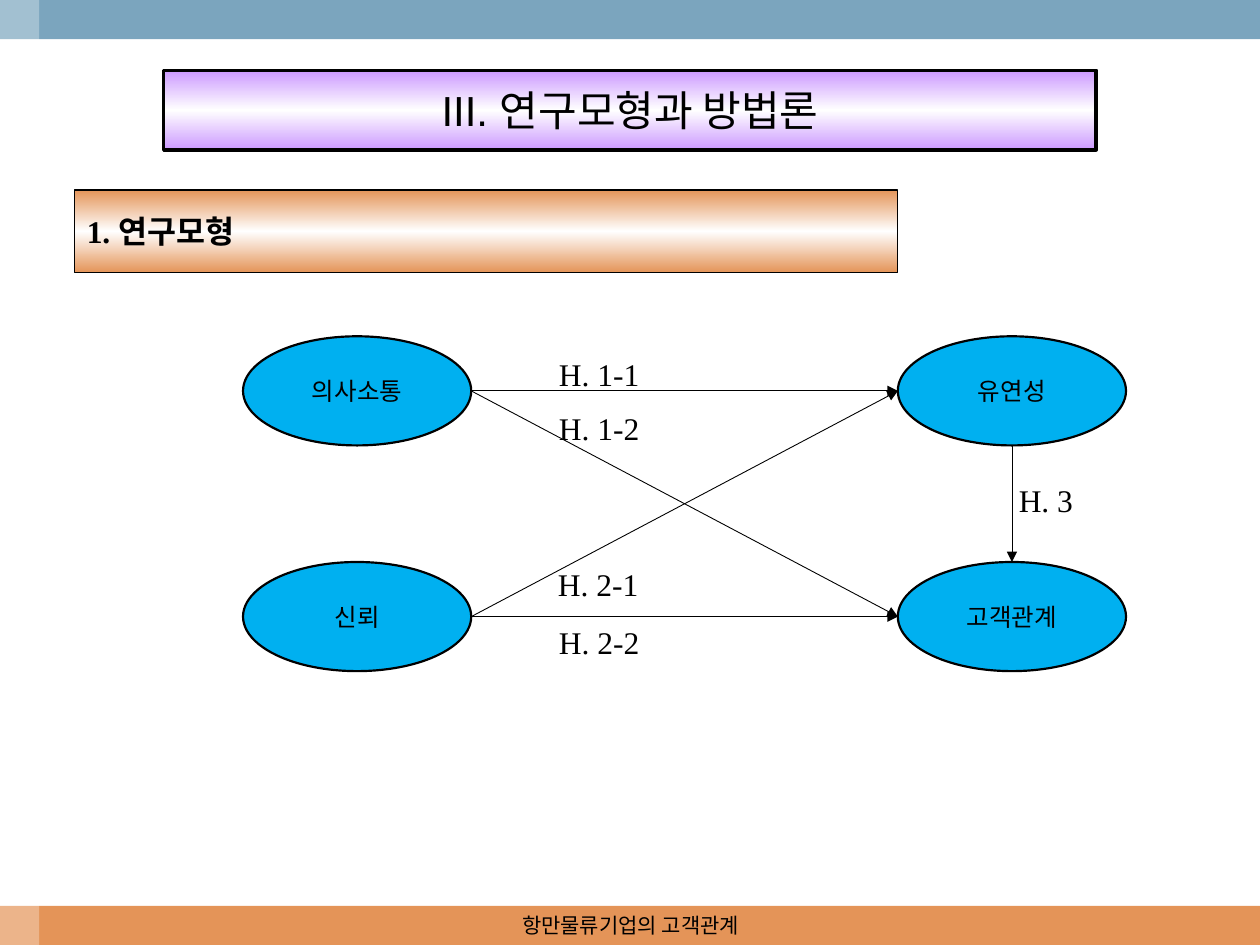
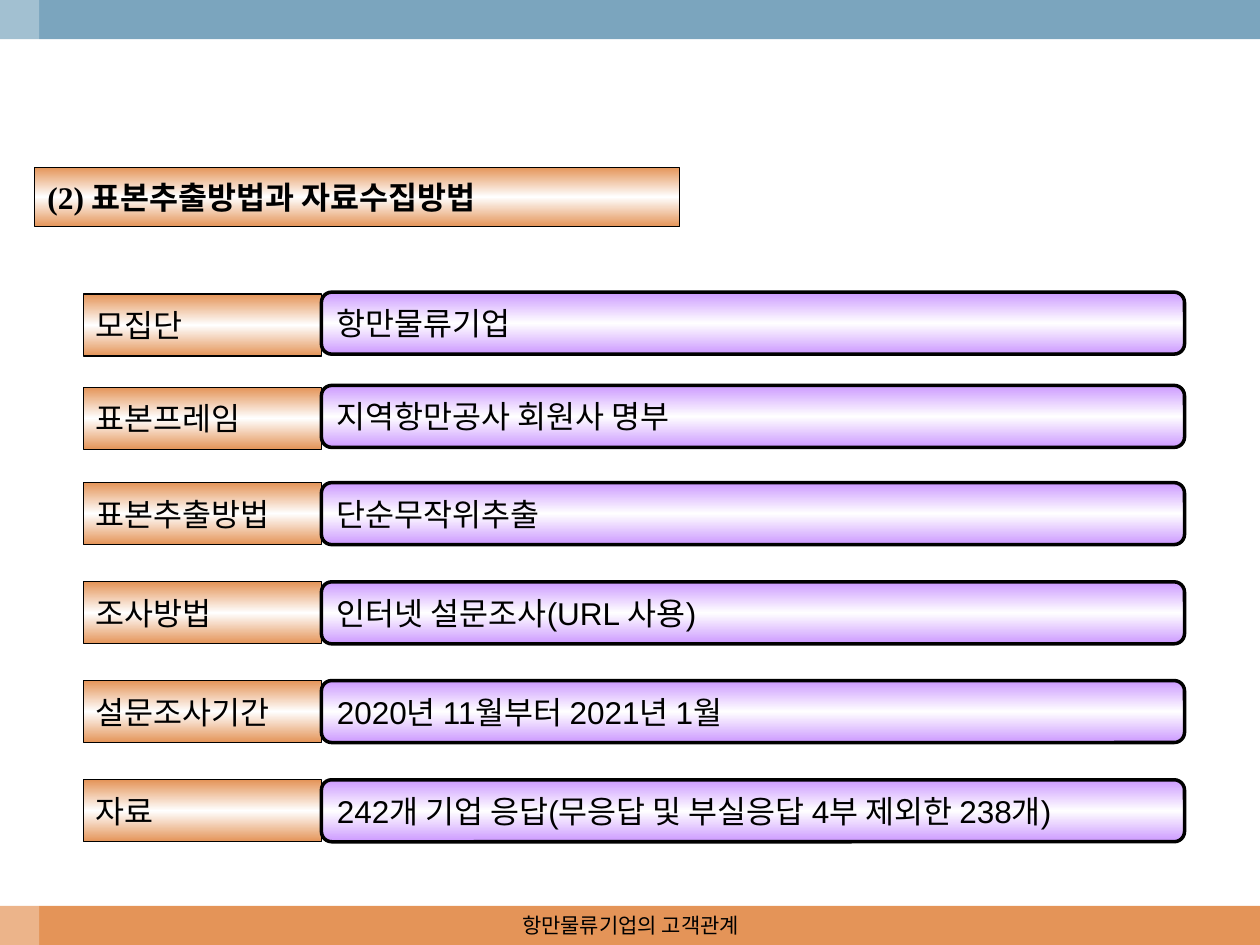
from copy import deepcopy

from pptx import Presentation
from pptx.dml.color import RGBColor
from pptx.enum.shapes import MSO_CONNECTOR, MSO_SHAPE
from pptx.enum.text import MSO_ANCHOR, MSO_AUTO_SIZE, PP_ALIGN
from pptx.oxml.ns import qn
from pptx.oxml.xmlchemy import OxmlElement
from pptx.util import Cm, Pt

RECT, ROUND, OVAL = MSO_SHAPE.RECTANGLE, MSO_SHAPE.ROUNDED_RECTANGLE, MSO_SHAPE.OVAL
LEFT, CENTER = PP_ALIGN.LEFT, PP_ALIGN.CENTER
MIDDLE, NO_FIT = MSO_ANCHOR.MIDDLE, MSO_AUTO_SIZE.NONE
STRAIGHT = MSO_CONNECTOR.STRAIGHT

COLORS = {"orange": "E49458", "blue": "7BA5BE", "violet": "CC99FF",
          "sky": "00B0F0", "white": "FFFFFF", "black": "000000"}
SERIF, SANS, FOOTER_FONT = "Times New Roman", "Arial", "Cambria"
PAGE_WIDTH, PAGE_HEIGHT, BAND = 25.4, 19.05, 0.79
FOOTER = "항만물류기업의 고객관계"


def color(name):
    return RGBColor.from_string(COLORS[name])


def write(shape, text, size, font, align=LEFT, bold=False):
    frame = shape.text_frame
    frame.word_wrap = True
    frame.auto_size = NO_FIT
    frame.vertical_anchor = MIDDLE
    para = frame.paragraphs[0]
    para.text = text
    para.alignment = align
    para.font.size = Pt(size)
    para.font.name = font
    para.font.bold = bold
    para.font.color.rgb = color("black")


def outline(shape, width):
    shape.line.color.rgb = color("black")
    shape.line.width = Pt(width)


def glow(shape, name):
    """Vertical gradient that is white in the middle."""
    shape.fill.gradient()
    shape.fill.gradient_angle = 90
    stop_list = shape.element.spPr.find(qn("a:gradFill")).find(qn("a:gsLst"))
    middle = deepcopy(stop_list[0])
    middle.set("pos", "50000")
    stop_list.insert(1, middle)
    for stop, stop_color in zip(shape.fill.gradient_stops, (name, "white", name)):
        stop.color.rgb = color(stop_color)


def add_box(page, kind, box):
    shape = page.shapes.add_shape(kind, *(Cm(length) for length in box))
    shape.shadow.inherit = False
    shape.fill.background()
    shape.line.fill.background()
    return shape


def orange_bar(shape):
    glow(shape, "orange")
    outline(shape, 0.75)


def violet_bar(shape):
    glow(shape, "violet")
    outline(shape, 2)


def add_master_bands(deck, page):
    """Bands are drawn once and moved to the master."""
    tree = deck.slide_master.shapes.element
    bands = [((0, PAGE_HEIGHT - BAND, PAGE_WIDTH, BAND), "orange"),
             ((0, 0, PAGE_WIDTH, BAND), "blue"),
             ((0, 0, BAND, PAGE_HEIGHT), "white")]
    for number, (box, name) in enumerate(bands):
        band = add_box(page, RECT, box)
        band.fill.solid()
        band.fill.fore_color.rgb = color(name)
        band.element.nvSpPr.cNvPr.set("id", str(100 + number))
        tree.append(band.element)
    # The side band, last in the list, is see-through
    alpha = OxmlElement("a:alpha")
    alpha.set("val", "30000")
    band.element.spPr.find(qn("a:solidFill"))[0].append(alpha)


def add_footer(page):
    box = page.shapes.add_textbox(Cm(8.69), Cm(PAGE_HEIGHT - BAND), Cm(8.05), Cm(BAND))
    write(box, FOOTER, 12, FOOTER_FONT, CENTER)


def place_title(page, box, kind="rect"):
    title = page.shapes.title
    title.left, title.top, title.width, title.height = (Cm(length) for length in box)
    geometry = OxmlElement("a:prstGeom")
    geometry.set("prst", kind)
    geometry.append(OxmlElement("a:avLst"))
    title.element.spPr.append(geometry)
    return title


def add_arrow(page, start, end):
    arrow = page.shapes.add_connector(STRAIGHT, *(Cm(length) for length in start + end))
    outline(arrow, 0.5)
    head = OxmlElement("a:tailEnd")
    head.set("type", "triangle")
    arrow.line._get_or_add_ln().append(head)
    arrow.element.spPr.append(OxmlElement("a:effectLst"))


def add_model(page, box):
    """Four factors in the corners of the box, joined by the hypotheses."""
    left, top, width, height = box
    oval_width, oval_height = 4.6, 2.2
    right, bottom = left + width - oval_width, top + height - oval_height
    factors = [("의사소통", left, top), ("신뢰", left, bottom),
               ("유연성", right, top), ("고객관계", right, bottom)]
    for text, x, y in factors:
        oval = add_box(page, OVAL, (x, y, oval_width, oval_height))
        oval.fill.solid()
        oval.fill.fore_color.rgb = color("sky")
        outline(oval, 1.25)
        write(oval, text, 14, SERIF, CENTER)

    # Arrows from each left factor to each right one, then down the right side
    rows = (top + oval_height / 2, bottom + oval_height / 2)
    for start in rows:
        for end in rows:
            add_arrow(page, (left + oval_width, start), (right, end))
    center = right + oval_width / 2
    add_arrow(page, (center, top + oval_height), (center, bottom))

    # Hypothesis labels
    labels = [("H. 1-1", 5.72, 0.26, 2.92), ("H. 1-2", 5.72, 1.36, 2.92),
              ("H. 2-1", 5.7, 4.5, 2.92), ("H. 2-2", 5.72, 5.66, 2.92),
              ("H. 3", 14.99, 2.8, 2.39)]
    for text, x, y, label_width in labels:
        label = add_box(page, ROUND, (left + x, top + y, label_width, 0.99))
        write(label, text, 18, SERIF, CENTER)


def add_survey_rows(page, box, rows):
    """A name on the left and its value on the right, at each row's offset."""
    left, top, width, height = box
    name_width = 4.8
    for name, value, offset, name_drop in rows:
        y = top + offset
        name_box = add_box(page, RECT, (left, y + name_drop, name_width, height))
        orange_bar(name_box)
        write(name_box, name, 18, SERIF)
        value_box = add_box(page, ROUND, (left + name_width, y, width - name_width, height))
        violet_bar(value_box)
        write(value_box, value, 18, SANS)


def build_model_page(page):
    title = place_title(page, (3.3, 1.42, 18.8, 1.6), "roundRect")
    violet_bar(title)
    write(title, "III. 연구모형과 방법론", 24, SANS, CENTER)
    heading = add_box(page, RECT, (1.5, 3.83, 16.6, 1.67))
    orange_bar(heading)
    write(heading, "1. 연구모형", 18, SERIF, bold=True)
    add_model(page, (4.9, 6.78, 17.8, 6.75))
    add_footer(page)


def build_survey_page(page):
    title = place_title(page, (0.7, 3.37, 13, 1.2))
    orange_bar(title)
    write(title, "(2) 표본추출방법과 자료수집방법", 18, SERIF, bold=True)
    rows = [("모집단", "항만물류기업", 0, 0.04),
            ("표본프레임", "지역항만공사 회원사 명부", 1.88, 0.04),
            ("표본추출방법", "단순무작위추출", 3.84, 0),
            ("조사방법", "인터넷 설문조사(URL 사용)", 5.84, 0),
            ("설문조사기간", "2020년 11월부터 2021년 1월", 7.83, 0),
            ("자료", "242개 기업 응답(무응답 및 부실응답 4부 제외한 238개)", 9.83, 0)]
    add_survey_rows(page, (1.68, 5.89, 22.2, 1.25), rows)
    add_footer(page)


deck = Presentation()
deck.slide_width, deck.slide_height = Cm(PAGE_WIDTH), Cm(PAGE_HEIGHT)
title_only = deck.slide_layouts[5]
model_page = deck.slides.add_slide(title_only)
add_master_bands(deck, model_page)
build_model_page(model_page)
build_survey_page(deck.slides.add_slide(title_only))
deck.save("out.pptx")
